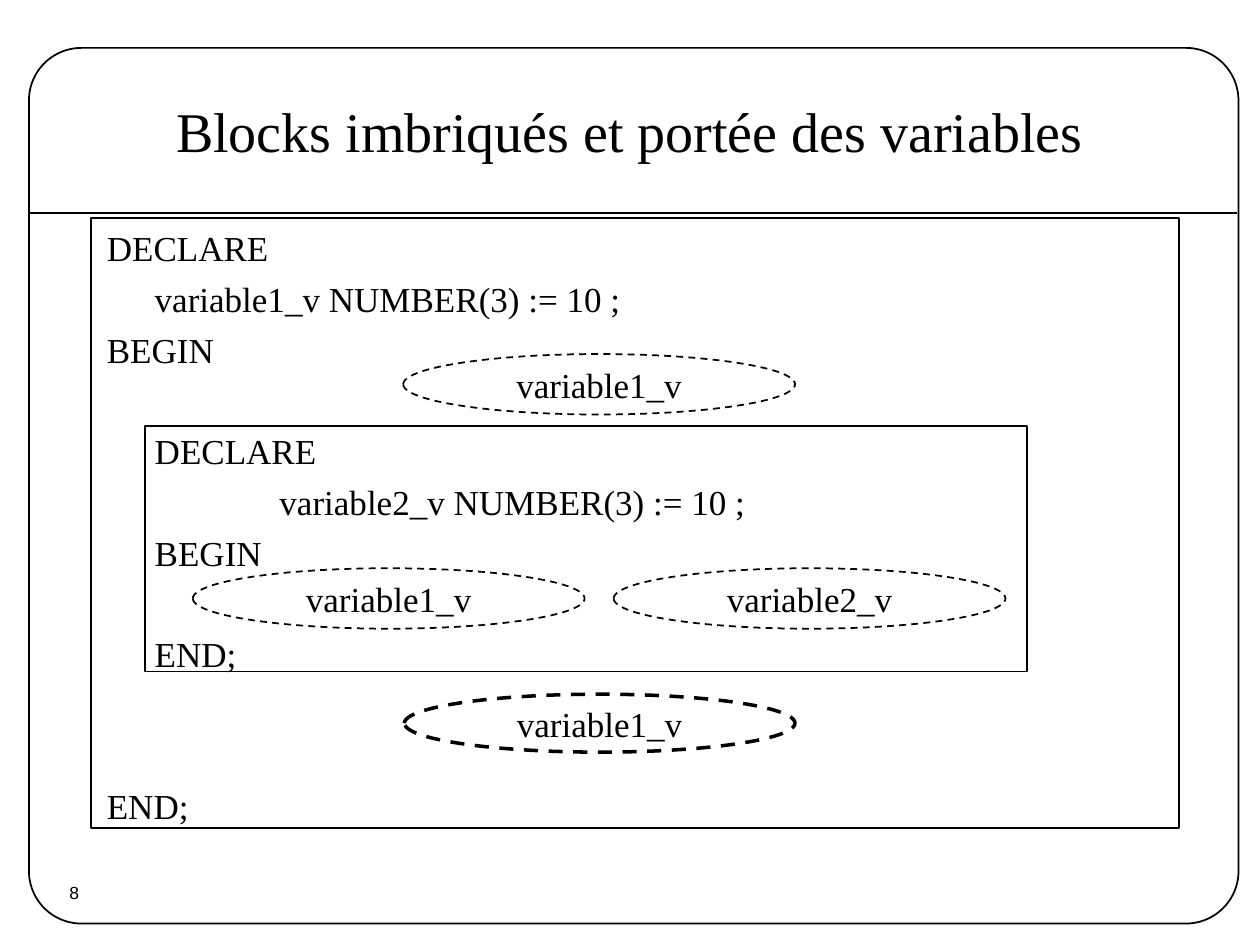
from lxml import etree
from pptx import Presentation
from pptx.dml.color import RGBColor
from pptx.enum.dml import MSO_LINE
from pptx.enum.shapes import MSO_CONNECTOR, MSO_SHAPE
from pptx.enum.text import MSO_ANCHOR, PP_ALIGN
from pptx.oxml.ns import qn
from pptx.util import Inches, Pt

BLACK = RGBColor(0, 0, 0)
SERIF, SANS = "Times New Roman", "Arial"
RECT, ROUND_RECT = MSO_SHAPE.RECTANGLE, MSO_SHAPE.ROUNDED_RECTANGLE
ELLIPSE, STRAIGHT = MSO_SHAPE.OVAL, MSO_CONNECTOR.STRAIGHT
DASH = MSO_LINE.DASH
TOP, MIDDLE = MSO_ANCHOR.TOP, MSO_ANCHOR.MIDDLE
LEFT, CENTER = PP_ALIGN.LEFT, PP_ALIGN.CENTER

INDENT = 0.38       # nested block
DEEP_INDENT = 1.37  # declaration in the nested block
LINE_GAP = 5        # points between code lines
ROW = 29            # points from one code line to the next

# text, indent in inches, free rows above it
CODE = [
    ("DECLARE", 0, 0),
    ("variable1_v NUMBER(3) := 10 ;", INDENT, 0),
    ("BEGIN", 0, 0),
    ("DECLARE", INDENT, 1),
    ("variable2_v NUMBER(3) := 10 ;", DEEP_INDENT, 0),
    ("BEGIN", INDENT, 0),
    ("END;", INDENT, 1),
    ("END;", 0, 2),
]

# name, left, top, width, height, line width
SCOPES = [
    ("variable1_v", 3.2, 2.81, 3.11, 0.48, 1),
    ("variable1_v", 1.53, 4.51, 3.11, 0.48, 1),
    ("variable2_v", 4.87, 4.51, 3.11, 0.48, 1),
    ("variable1_v", 3.21, 5.51, 3.1, 0.46, 2),
]


class SlideBuilder:
    def __init__(self, slide):
        self.shapes = slide.shapes

    def style(self, paragraph, size, font=SERIF, align=LEFT):
        paragraph.alignment = align
        paragraph.font.size = Pt(size)
        paragraph.font.name = font
        paragraph.font.color.rgb = BLACK

    def outline(self, kind, left, top, width, height, weight=1):
        shape = self.shapes.add_shape(
            kind, Inches(left), Inches(top), Inches(width), Inches(height))
        shape.shadow.inherit = False
        shape.fill.background()
        shape.line.color.rgb = BLACK
        shape.line.width = Pt(weight)
        return shape

    def rule(self, x1, y1, x2, y2):
        line = self.shapes.add_connector(
            STRAIGHT, Inches(x1), Inches(y1), Inches(x2), Inches(y2))
        line.line.color.rgb = BLACK
        line.line.width = Pt(1)
        etree.SubElement(line._element.spPr, qn("a:effectLst"))

    def text_frame(self, left, top, width, height, anchor):
        box = self.shapes.add_textbox(
            Inches(left), Inches(top), Inches(width), Inches(height))
        frame = box.text_frame
        frame.word_wrap = True
        frame.vertical_anchor = anchor
        return frame

    def label(self, text, left, top, width, height, size, font):
        frame = self.text_frame(left, top, width, height, MIDDLE)
        frame.text = text
        self.style(frame.paragraphs[0], size, font, CENTER)

    def code(self, lines, left, top, width, height):
        frame = self.text_frame(left, top, width, height, TOP)
        for number, (text, indent, free_rows) in enumerate(lines):
            paragraph = frame.add_paragraph() if number else frame.paragraphs[0]
            paragraph.text = text
            paragraph._p.get_or_add_pPr().set("marL", str(Inches(indent)))
            if number:
                paragraph.space_before = Pt(LINE_GAP + free_rows * ROW)
            self.style(paragraph, 20)

    def scope(self, name, left, top, width, height, weight):
        ellipse = self.outline(ELLIPSE, left, top, width, height, weight)
        ellipse.line.dash_style = DASH
        frame = ellipse.text_frame
        frame.word_wrap = False
        frame.vertical_anchor = MIDDLE
        frame.text = name
        self.style(frame.paragraphs[0], 20, align=CENTER)


def main():
    deck = Presentation()
    deck.slide_width, deck.slide_height = Inches(10), Inches(7.5)
    builder = SlideBuilder(deck.slides.add_slide(deck.slide_layouts[6]))

    # Slide frame and title rule
    frame = builder.outline(ROUND_RECT, 0.23, 0.38, 9.6, 6.95)
    frame.adjustments[0] = 0.06
    builder.rule(0.23, 1.69, 9.82, 1.69)

    # Page number and title
    builder.label("8", 0.21, 6.91, 0.76, 0.35, 10, SANS)
    builder.label("Blocks imbriqués et portée des variables",
                  0.75, 0.41, 8.5, 1.25, 32, SERIF)

    # Code with its inner and outer block
    builder.code(CODE, 0.75, 1.75, 8.5, 4.91)
    builder.outline(RECT, 1.15, 3.38, 7, 1.95)
    builder.outline(RECT, 0.72, 1.73, 8.64, 4.84)

    # Variables visible in each block
    for scope in SCOPES:
        builder.scope(*scope)

    deck.save("out.pptx")


if __name__ == "__main__":
    main()
